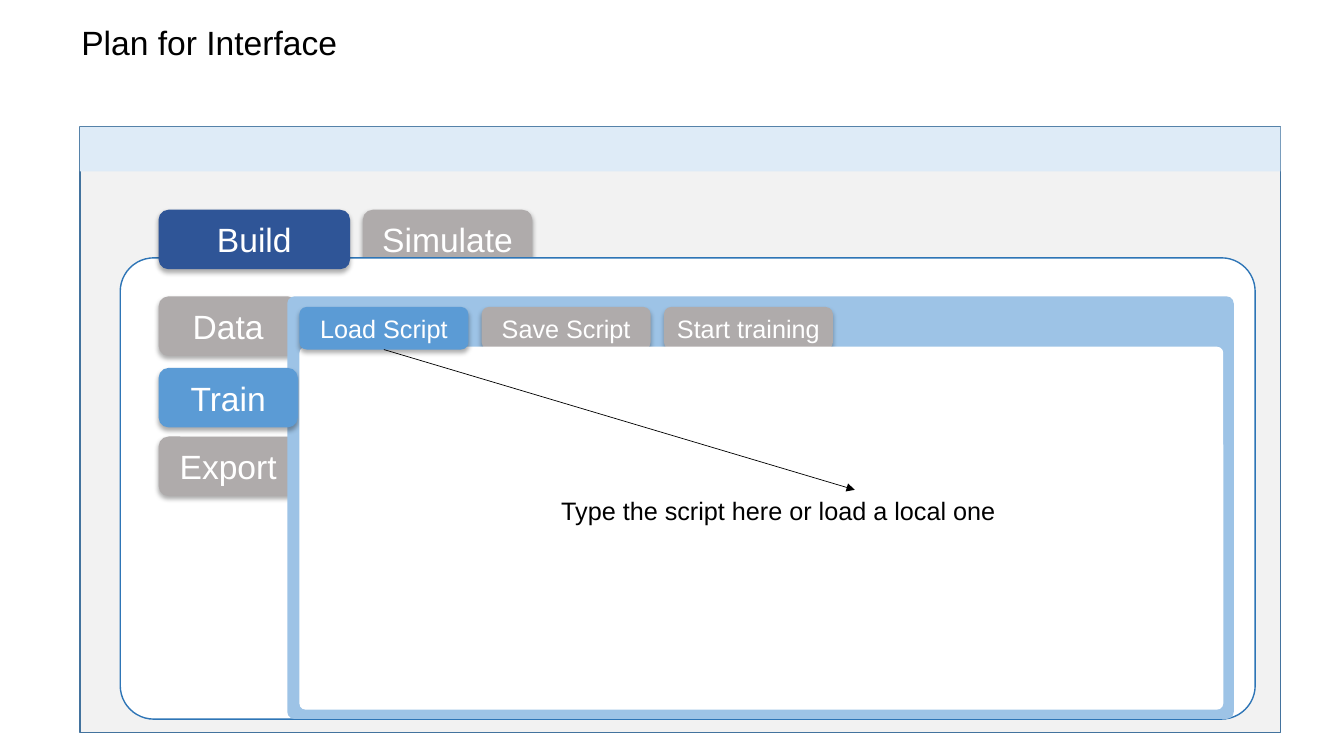
from lxml import etree
from pptx import Presentation
from pptx.dml.color import RGBColor
from pptx.enum.shapes import MSO_CONNECTOR, MSO_SHAPE
from pptx.enum.text import MSO_ANCHOR, MSO_AUTO_SIZE, PP_ALIGN
from pptx.oxml.ns import qn
from pptx.util import Pt

RECT, ROUND = MSO_SHAPE.RECTANGLE, MSO_SHAPE.ROUNDED_RECTANGLE
STRAIGHT = MSO_CONNECTOR.STRAIGHT
CENTER, LEFT = PP_ALIGN.CENTER, PP_ALIGN.LEFT
MIDDLE, TOP = MSO_ANCHOR.MIDDLE, MSO_ANCHOR.TOP
GROW = MSO_AUTO_SIZE.SHAPE_TO_FIT_TEXT

color = RGBColor.from_string
WHITE, BLACK, GRAY, BLUE, NAVY = "FFFFFF", "000000", "AFABAB", "5B9BD5", "2F5597"

deck = Presentation()
deck.slide_width, deck.slide_height = Pt(960), Pt(540)
page = deck.slides.add_slide(deck.slide_layouts[6])


def add_panel(kind, left, top, width, height, fill, line=None, radius=None, raised=False):
    shape = page.shapes.add_shape(kind, Pt(left), Pt(top), Pt(width), Pt(height))
    shape.fill.solid()
    shape.fill.fore_color.rgb = color(fill)
    if line:
        shape.line.color.rgb = color(line)
        shape.line.width = Pt(1)
    else:
        shape.line.fill.background()
    if radius is not None:
        shape.adjustments[0] = radius
    shape.shadow.inherit = False
    if raised:
        effects = shape.element.spPr.find(qn("a:effectLst"))
        shadow = etree.SubElement(effects, qn("a:outerShdw"), blurRad=str(Pt(3.5)),
                                  dist=str(Pt(2.2)), dir="5400000", rotWithShape="0")
        tint = etree.SubElement(shadow, qn("a:srgbClr"), val=BLACK)
        etree.SubElement(tint, qn("a:alpha"), val="32000")
    return shape


def write(box, text, size, ink=BLACK, align=LEFT, anchor=TOP, grow=False):
    frame = box.text_frame
    frame.word_wrap = False
    frame.vertical_anchor = anchor
    if grow:
        frame.auto_size = GROW
    para = frame.paragraphs[0]
    para.alignment = align
    span = para.add_run()
    span.text = text
    span.font.name = "Arial"
    span.font.size = Pt(size)
    span.font.color.rgb = color(ink)


# Window, title bar and main panel; each list runs from back to front
label = dict(ink=WHITE, align=CENTER, anchor=MIDDLE)
add_panel(RECT, 57, 90.7, 857.5, 432.7, "F2F2F2", line="43739E")
add_panel(RECT, 57, 90.7, 857.5, 31.7, "DEEBF7")
simulate = add_panel(ROUND, 259.2, 149.8, 121, 42.5, GRAY, raised=True)
write(simulate, "Simulate", 24, **label)
add_panel(ROUND, 85.9, 184.2, 810.7, 329.5, WHITE, line="2E75B6", radius=0.073)

# Build tab and side tabs, with the training panel beneath the active one
for text, top, width, fill in [
    ("Build", 149.8, 136.8, NAVY),
    ("Export", 311.8, 99.4, GRAY),
    ("Data", 211.7, 99.4, GRAY),
    ("Train", 262.8, 99.4, BLUE),
]:
    if text == "Train":
        add_panel(ROUND, 205.2, 211.7, 676.1, 301.9, "9DC3E6", radius=0.017)
    tab = add_panel(ROUND, 113.3, top, width, 42.5, fill, raised=True)
    write(tab, text, 24, **label)

# Script buttons, with the editor area beneath the active one
button_left, button_step = 213.9, 130.2
for column, text, fill in [
    (2, "Start training", GRAY),
    (1, "Save Script", GRAY),
    (0, "Load Script", BLUE),
]:
    if column == 0:
        add_panel(ROUND, button_left, 247.7, 659.9, 259.2, WHITE, radius=0.017)
    button = add_panel(ROUND, button_left + column * button_step, 219.3, 120.6, 30.4,
                       fill, raised=True)
    write(button, text, 18, **label)

# Title and editor hint
for text, size, left, top, width, height in [
    ("Plan for Interface", 24, 51, 11.8, 205.9, 36.4),
    ("Type the script here or load a local one", 18, 393.8, 349.9, 327.6, 29.1),
]:
    box = page.shapes.add_textbox(Pt(left), Pt(top), Pt(width), Pt(height))
    write(box, text, size, grow=True)

# Arrow from the Load Script button to the hint
arrow = page.shapes.add_connector(STRAIGHT, Pt(274.2), Pt(249.7), Pt(610.6), Pt(349.9))
arrow.begin_connect(button, 2)
arrow.line.color.rgb = color(BLACK)
arrow.line.width = Pt(0.5)
etree.SubElement(arrow.line._get_or_add_ln(), qn("a:tailEnd"), type="triangle")
etree.SubElement(arrow.element.spPr, qn("a:effectLst"))

deck.save("out.pptx")
